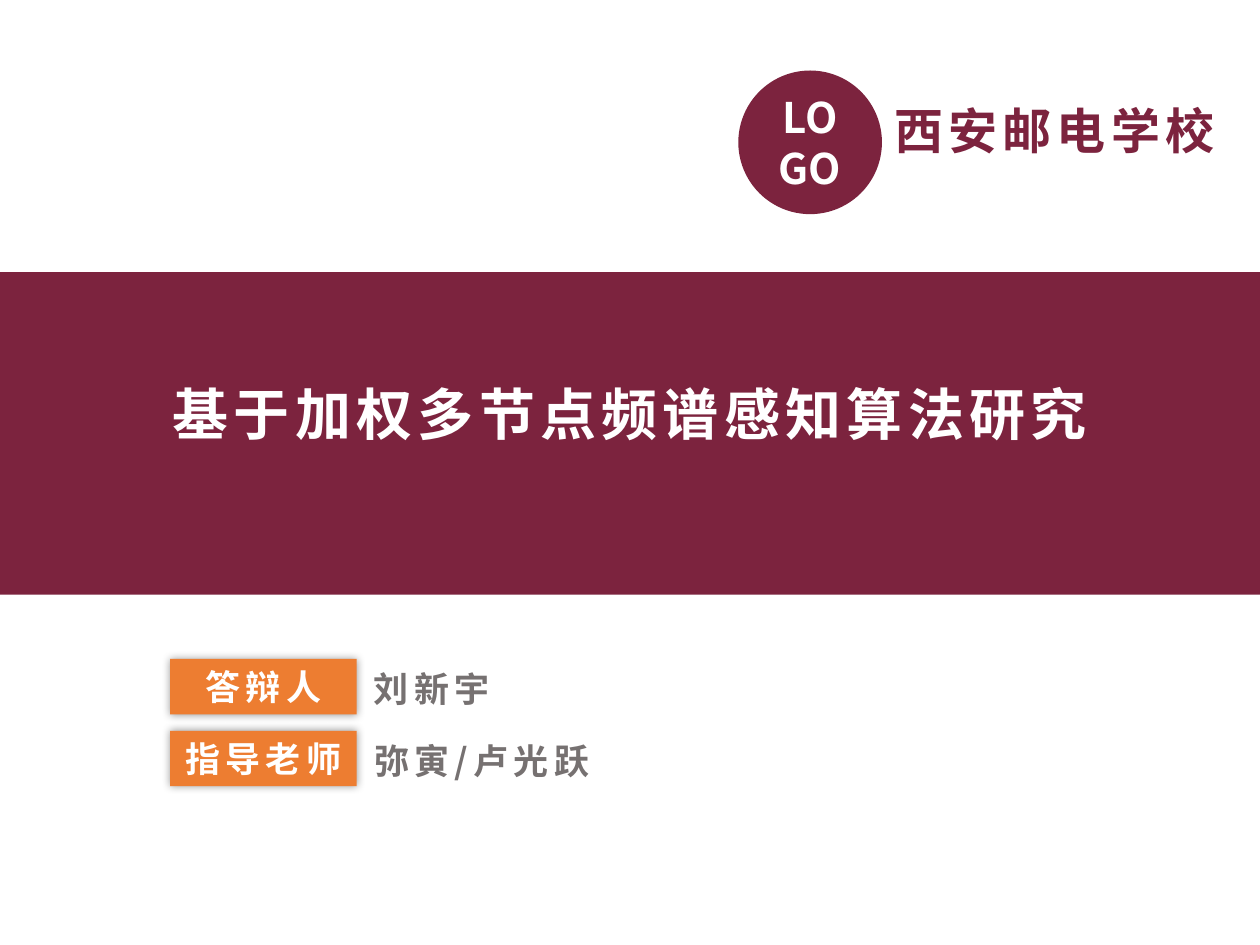
from lxml import etree
from pptx import Presentation
from pptx.dml.color import RGBColor
from pptx.enum.shapes import MSO_SHAPE
from pptx.enum.text import MSO_ANCHOR, MSO_AUTO_SIZE, PP_ALIGN
from pptx.oxml import parse_xml
from pptx.oxml.ns import nsdecls, qn
from pptx.util import Inches, Pt

FONT = "Noto Sans CJK SC"
MAROON = RGBColor(0x7C, 0x23, 0x3E)
ORANGE = RGBColor(0xED, 0x7D, 0x31)
GRAY = RGBColor(0x76, 0x71, 0x71)
WHITE = RGBColor(0xFF, 0xFF, 0xFF)


def write(shape, text, size, color, align=PP_ALIGN.LEFT, spacing=3):
    """Put one styled line of text in a shape; spacing is in points."""
    frame = shape.text_frame
    frame.word_wrap = True
    frame.text = text
    paragraph = frame.paragraphs[0]
    paragraph.alignment = align
    run = paragraph.runs[0]
    run.font.size = Pt(size)
    run.font.bold = True
    run.font.color.rgb = color
    run.font.name = FONT
    properties = run.font._element
    etree.SubElement(properties, qn("a:ea")).set("typeface", FONT)
    if spacing:
        properties.set("spc", str(spacing * 100))


def add_block(slide, kind, left, top, width, height, fill):
    block = slide.shapes.add_shape(
        kind, Inches(left), Inches(top), Inches(width), Inches(height))
    block.shadow.inherit = False
    block.fill.solid()
    block.fill.fore_color.rgb = fill
    block.line.fill.background()
    block.text_frame.vertical_anchor = MSO_ANCHOR.MIDDLE
    return block


def add_text(slide, left, top, width, height, text, size, color,
             align=PP_ALIGN.LEFT):
    box = slide.shapes.add_textbox(
        Inches(left), Inches(top), Inches(width), Inches(height))
    write(box, text, size, color, align)
    box.text_frame.auto_size = MSO_AUTO_SIZE.SHAPE_TO_FIT_TEXT


def add_glow_shadow(shape):
    """Soft, centred shadow around a label."""
    effects = shape._element.spPr.find(qn("a:effectLst"))
    effects.append(parse_xml(
        f'<a:outerShdw {nsdecls("a")} blurRad="{Pt(5)}" dist="0" dir="0" '
        'algn="ctr" rotWithShape="0"><a:srgbClr val="000000">'
        '<a:alpha val="40000"/></a:srgbClr></a:outerShdw>'))


def add_school(slide, left, top, diameter):
    badge = add_block(slide, MSO_SHAPE.OVAL, left, top, diameter, diameter, MAROON)
    write(badge, "LOGO", 24, WHITE, PP_ALIGN.CENTER, spacing=0)
    add_text(slide, left + diameter, top + 0.19, 2.82, 0.57,
             "西安邮电学校", 28, MAROON)


def add_title_band(slide, left, top, width, height):
    add_block(slide, MSO_SHAPE.RECTANGLE, left, top, width, height, MAROON)
    margin = 1.16
    add_text(slide, left + margin, top + 0.8, width - 2 * margin, 0.64,
             "基于加权多节点频谱感知算法研究", 32, WHITE, PP_ALIGN.CENTER)


def add_people(slide, left, top, label_width, row_height):
    people = [("答辩人", "刘新宇", 1.77), ("指导老师", "弥寅/卢光跃", 2.19)]
    row_pitch = row_height + 0.13
    for row, (role, name, name_width) in enumerate(people):
        row_top = top + row * row_pitch
        label = add_block(slide, MSO_SHAPE.RECTANGLE, left, row_top,
                          label_width, row_height, ORANGE)
        add_glow_shadow(label)
        write(label, role, 20, WHITE, PP_ALIGN.CENTER)
        add_text(slide, left + label_width + 0.04, row_top + 0.02,
                 name_width, row_height, name, 20, GRAY)


def main():
    presentation = Presentation()
    presentation.slide_width = Inches(10)
    presentation.slide_height = Inches(7.5)
    slide = presentation.slides.add_slide(presentation.slide_layouts[6])

    # School badge and name
    add_school(slide, 5.86, 0.56, 1.14)
    # Thesis title
    add_title_band(slide, 0, 2.16, 10, 2.56)
    # Candidate and supervisors
    add_people(slide, 1.35, 5.23, 1.48, 0.44)

    presentation.save("out.pptx")


if __name__ == "__main__":
    main()
